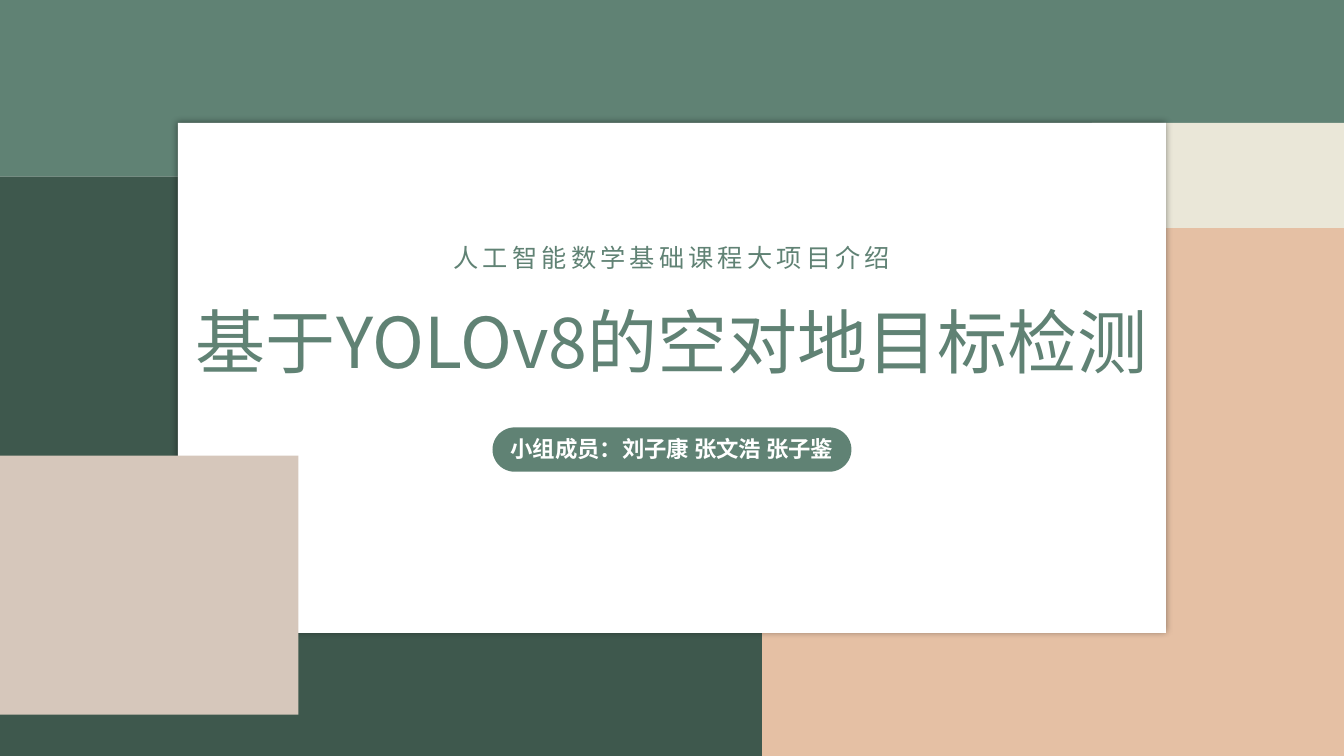
import pptx
import pptx.dml.color
import pptx.enum.shapes
import pptx.enum.text
import pptx.oxml
import pptx.oxml.ns
import pptx.util
from pptx.util import Inches

SLIDE_W, SLIDE_H = 13.33, 7.5
FONT = "Noto Sans CJK JP"
GREEN, WHITE = "608274", "FFFFFF"

COURSE = "人工智能数学基础课程大项目介绍"
TITLE = "基于YOLOv8的空对地目标检测"
MEMBERS = "小组成员：刘子康 张文浩 张子鉴"

SPLIT_X, BAND_H = 7.56, 1.75
CARD_TOP, CREAM_X, CREAM_BOTTOM = 1.22, 10.83, 2.26
CARD_W, CARD_H = 9.8, 5.06
PILL_W, PILL_H, PILL_TOP = 3.56, 0.44, 4.24

BACKDROP = [
    ("3E584D", 0, BAND_H, SPLIT_X, SLIDE_H),
    (GREEN, 0, 0, SLIDE_W, BAND_H),
    ("E5C0A4", SPLIT_X, CREAM_BOTTOM, SLIDE_W, SLIDE_H),
    ("EAE7D8", CREAM_X, CARD_TOP, SLIDE_W, CREAM_BOTTOM),
]

deck = pptx.Presentation()
deck.slide_width, deck.slide_height = Inches(SLIDE_W), Inches(SLIDE_H)
slide = deck.slides.add_slide(deck.slide_layouts[6])


def rgb(value):
    return pptx.dml.color.RGBColor.from_string(value)


def centred(width):
    return (SLIDE_W - width) / 2


def add_block(color, left, top, width, height, kind="RECTANGLE"):
    block = slide.shapes.add_shape(
        pptx.enum.shapes.MSO_SHAPE[kind],
        Inches(left), Inches(top), Inches(width), Inches(height))
    block.shadow.inherit = False
    block.fill.solid()
    block.fill.fore_color.rgb = rgb(color)
    block.line.fill.background()
    return block


def add_glow(block, blur, opacity):
    effects = block._element.spPr.find(pptx.oxml.ns.qn("a:effectLst"))
    effects.append(pptx.oxml.parse_xml(
        f'<a:outerShdw {pptx.oxml.ns.nsdecls("a")} blurRad="{pptx.util.Pt(blur)}" '
        f'dist="0" dir="0" algn="ctr" rotWithShape="0"><a:srgbClr val="000000">'
        f'<a:alpha val="{opacity * 1000}"/></a:srgbClr></a:outerShdw>'))


def add_text(text, top, width, height, size, color=GREEN, bold=False,
             line_spacing=1.0, tracking=0, wrap=True):
    box = slide.shapes.add_textbox(
        Inches(centred(width)), Inches(top), Inches(width), Inches(height))
    frame = box.text_frame
    frame.word_wrap = wrap
    frame.auto_size = pptx.enum.text.MSO_AUTO_SIZE.SHAPE_TO_FIT_TEXT
    paragraph = frame.paragraphs[0]
    paragraph.alignment = pptx.enum.text.PP_ALIGN.CENTER
    paragraph.line_spacing = line_spacing
    run = paragraph.add_run()
    run.text = text
    run.font.size = pptx.util.Pt(size)
    run.font.bold = bold
    run.font.color.rgb = rgb(color)
    run.font.name = FONT
    properties = run._r.get_or_add_rPr()
    properties.append(pptx.oxml.parse_xml(
        f'<a:ea {pptx.oxml.ns.nsdecls("a")} typeface="{FONT}"/>'))
    if tracking:
        properties.set("spc", str(tracking * 100))


for color, left, top, right, bottom in BACKDROP:
    add_block(color, left, top, right - left, bottom - top)

card = add_block(WHITE, centred(CARD_W), CARD_TOP, CARD_W, CARD_H)
add_glow(card, blur=5, opacity=40)

add_text(COURSE, 2.2, 5.83, 0.51, 18, line_spacing=1.5, tracking=3)
add_text(TITLE, 2.75, 10.39, 1.04, 50, line_spacing=1.2)

pill = add_block(GREEN, centred(PILL_W), PILL_TOP, PILL_W, PILL_H, "ROUNDED_RECTANGLE")
pill.adjustments[0] = 0.5
add_text(MEMBERS, 4.27, PILL_W, 0.37, 16, color=WHITE, bold=True, wrap=False)

add_block("D6C7BB", 0, 4.52, 2.96, 2.57)

deck.save("out.pptx")
